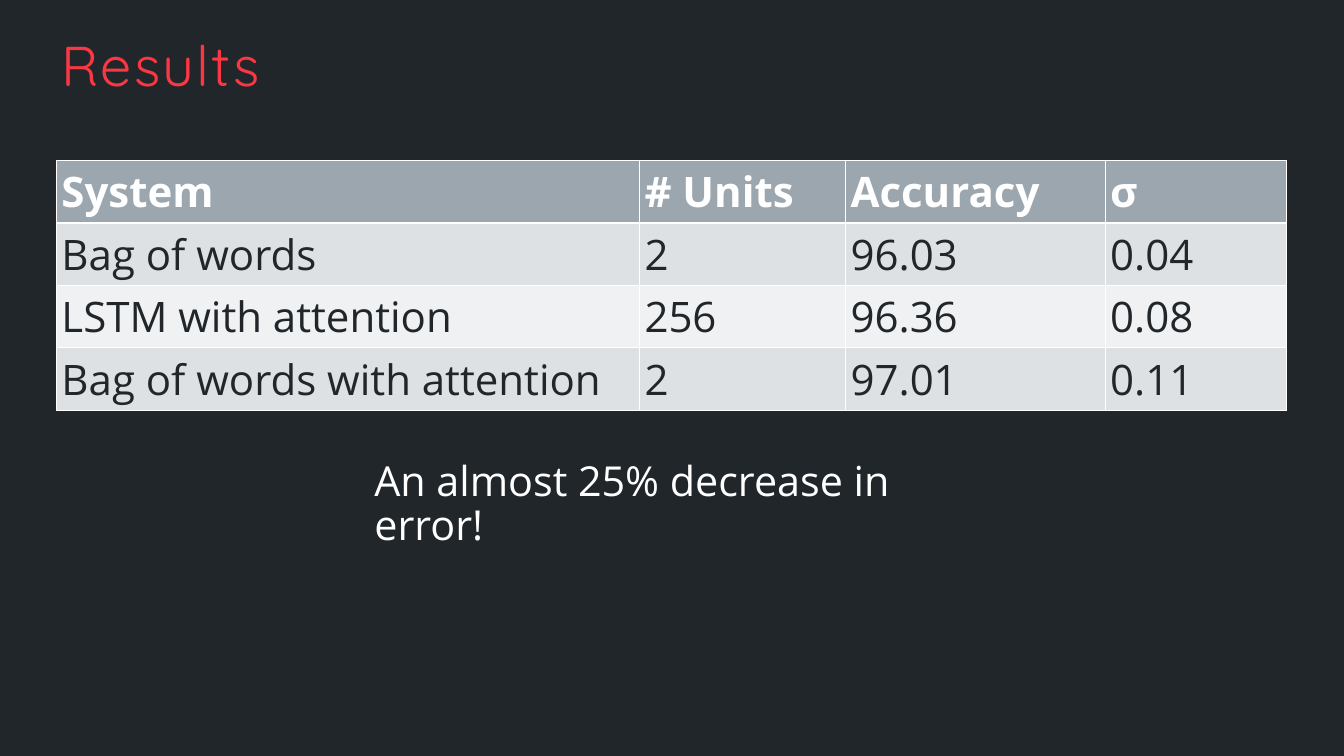
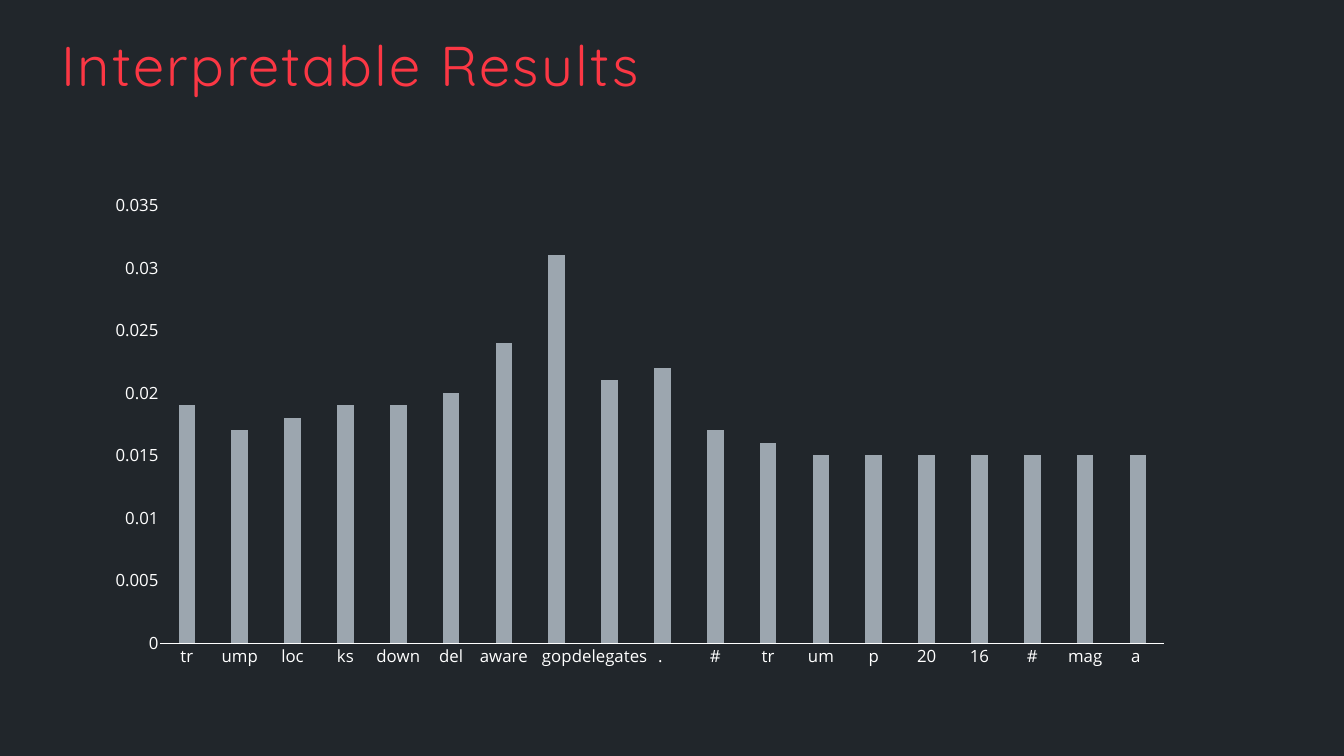
from dataclasses import dataclass
from lxml.etree import SubElement
from pptx import Presentation
from pptx.chart.data import CategoryChartData
from pptx.dml.color import RGBColor
from pptx.enum.chart import XL_CHART_TYPE, XL_TICK_MARK
from pptx.enum.text import MSO_ANCHOR
from pptx.oxml.ns import qn
from pptx.util import Inches, Pt


@dataclass(frozen=True)
class Theme:
    background: str = "21262B"
    accent: str = "FB3744"
    steel: str = "9CA6AF"
    white: str = "FFFFFF"
    bands: tuple = ("DEE1E3", "EFF1F2")
    title_font: str = "Quicksand"
    body_font: str = "Open Sans"
    title_size: int = 80
    table_size: int = 60
    note_size: int = 59
    axis_size: int = 24
    line_spacing: float = 0.9


T = Theme()
TITLE_BOX = (1.12, 0.75, 24.42, 1.21)

RESULTS = [
    ("System", "# Units", "Accuracy", "σ"),
    ("Bag of words", "2", "96.03", "0.04"),
    ("LSTM with attention", "256", "96.36", "0.08"),
    ("Bag of words with attention", "2", "97.01", "0.11"),
]
COLUMN_WIDTHS = (11.57, 4.09, 5.15, 3.6)
ROW_HEIGHT = 1.24

TOKENS = ["tr", "ump", "loc", "ks", "down", "del", "aware", "gop", "delegates", ". ",
          "#", "tr", "um", "p", "20", "16", "#", "mag", "a "]
WEIGHTS = [0.019, 0.017, 0.018, 0.019, 0.019, 0.02, 0.024, 0.031, 0.021, 0.022,
           0.017, 0.016] + [0.015] * 7


def rgb(color):
    return RGBColor.from_string(color)


def paint(fill, color):
    fill.solid()
    fill.fore_color.rgb = rgb(color)


def style(font, size, color, name=T.body_font, bold=False):
    font.size = Pt(size)
    font.name = name
    font.bold = bold
    font.color.rgb = rgb(color)


def add_text(s, box, text, size, color, name=T.body_font, anchor=MSO_ANCHOR.TOP):
    tf = s.shapes.add_textbox(*map(Inches, box)).text_frame
    tf.word_wrap = True
    tf.vertical_anchor = anchor
    p = tf.paragraphs[0]
    p.text = text
    p.line_spacing = T.line_spacing
    style(p.font, size, color, name)
    return p


def add_slide(prs, title):
    s = prs.slides.add_slide(prs.slide_layouts[6])
    paint(s.background.fill, T.background)
    p = add_text(s, TITLE_BOX, title, T.title_size, T.accent, T.title_font, MSO_ANCHOR.MIDDLE)
    p.runs[0].font._element.set("spc", "320")
    return s


def add_borders(cell, color, bottom):
    tcPr = cell._tc.get_or_add_tcPr()
    for side, width in (("L", 1), ("R", 1), ("T", 1), ("B", bottom)):
        ln = SubElement(tcPr, qn(f"a:ln{side}"), w=str(Pt(width)))
        fill = SubElement(ln, qn("a:solidFill"))
        SubElement(fill, qn("a:srgbClr"), val=color)


def add_results_table(s, left, top):
    table = s.shapes.add_table(
        len(RESULTS), len(COLUMN_WIDTHS), Inches(left), Inches(top),
        Inches(sum(COLUMN_WIDTHS)), Inches(ROW_HEIGHT * len(RESULTS))).table
    for column, width in zip(table.columns, COLUMN_WIDTHS):
        column.width = Inches(width)
    for i, values in enumerate(RESULTS):
        header = i == 0
        table.rows[i].height = Inches(ROW_HEIGHT)
        for cell, value in zip(table.rows[i].cells, values):
            cell.text = value
            style(cell.text_frame.paragraphs[0].font, T.table_size,
                  T.white if header else T.background, bold=header)
            add_borders(cell, T.white, 3 if header else 1)
            paint(cell.fill, T.steel if header else T.bands[(i - 1) % 2])


def add_weights_chart(s, box):
    data = CategoryChartData()
    data.categories = TOKENS
    data.add_series("Series 1", WEIGHTS)
    chart = s.shapes.add_chart(XL_CHART_TYPE.COLUMN_CLUSTERED, *map(Inches, box), data).chart
    chart.has_legend = False
    chart.has_title = False
    style(chart.font, T.axis_size, T.white)

    plot = chart.plots[0]
    plot.vary_by_categories = False
    plot.gap_width = 219
    plot.overlap = -27
    paint(plot.series[0].format.fill, T.steel)

    for axis in (chart.category_axis, chart.value_axis):
        axis.has_major_gridlines = False
        axis.major_tick_mark = XL_TICK_MARK.NONE
        axis.minor_tick_mark = XL_TICK_MARK.NONE
        style(axis.tick_labels.font, T.axis_size, T.white)
        axis._element.find(qn("c:txPr")).find(qn("a:bodyPr")).set("rot", "-60000000")
    line = chart.category_axis.format.line
    line.width = Pt(0.75)
    paint(line.fill, T.white)
    chart.value_axis.format.line.fill.background()
    chart.value_axis.minimum_scale = 0
    chart.value_axis.maximum_scale = 0.035
    chart.value_axis.major_unit = 0.005


def results_slide(prs):
    s = add_slide(prs, "Results")
    add_results_table(s, 1.12, 3.18)
    add_text(s, (7.33, 9.09, 11.35, 1.09), "An almost 25% decrease in error!",
             T.note_size, T.white)


def interpretable_slide(prs):
    s = add_slide(prs, "Interpretable Results")
    add_weights_chart(s, (1.86, 3.65, 21.68, 9.79))


def main():
    prs = Presentation()
    prs.slide_width = Inches(26.67)
    prs.slide_height = Inches(15)
    results_slide(prs)
    interpretable_slide(prs)
    prs.save("out.pptx")


if __name__ == "__main__":
    main()
